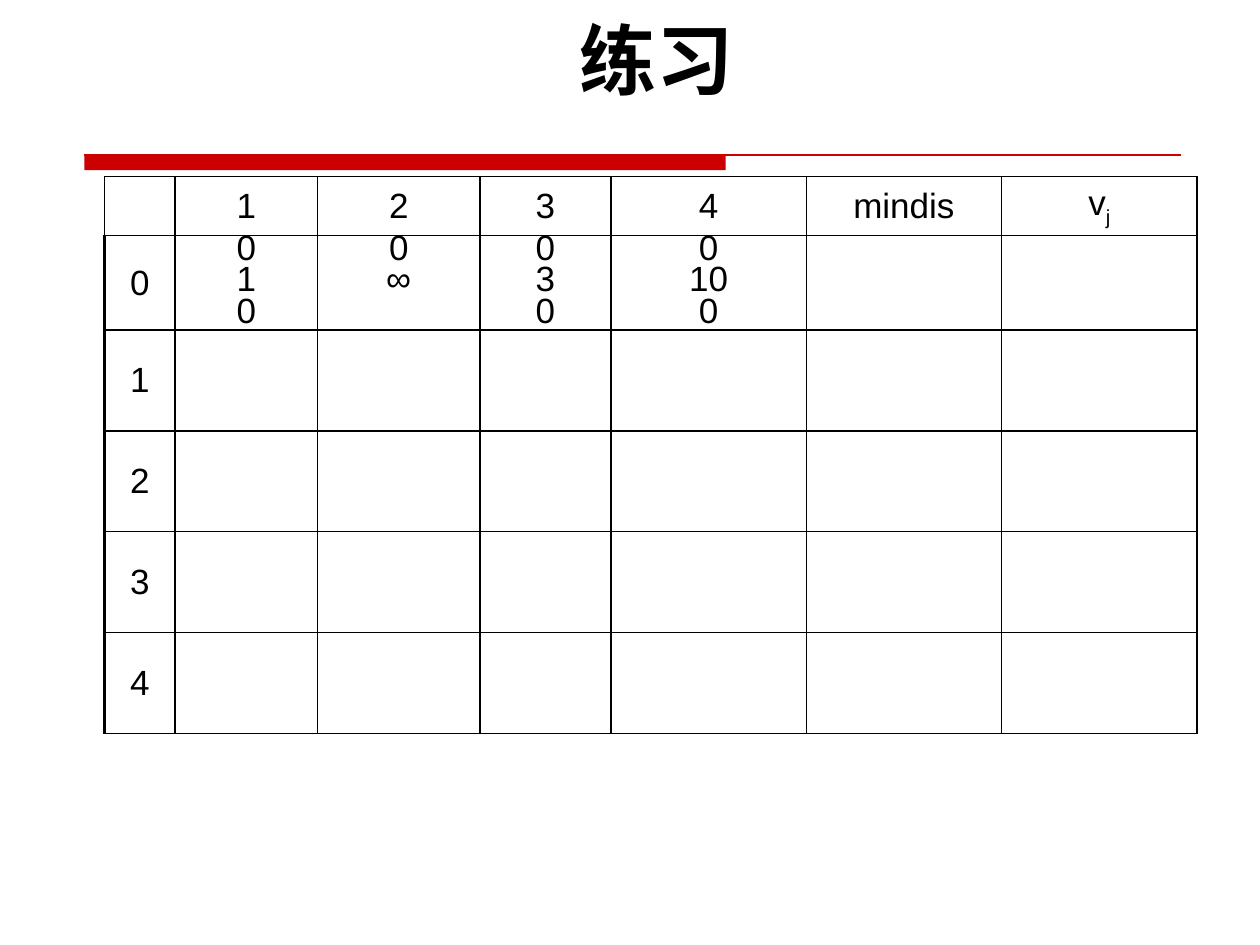
from dataclasses import dataclass
from lxml.etree import SubElement
from pptx import Presentation
from pptx.dml.color import RGBColor
from pptx.enum.shapes import MSO_CONNECTOR, MSO_SHAPE
from pptx.enum.text import MSO_ANCHOR, PP_ALIGN
from pptx.oxml.ns import qn
from pptx.util import Inches, Pt

TITLE = "练习"
HEADER = ["", "1", "2", "3", "4", "mindis", "v"]
SUBSCRIPT = "j"
FIRST_STEP = ["0\n1\n0", "0\n∞", "0\n3\n0", "0\n10\n0"]
STEPS = ["0", "1", "2", "3", "4"]
COL_WIDTHS = [0.56, 1.13, 1.29, 1.04, 1.55, 1.55, 1.55]
ROW_HEIGHTS = [0.47, 0.75] + [0.8] * 4


@dataclass(frozen=True)
class Theme:
    ink: RGBColor = RGBColor(0, 0, 0)
    accent: RGBColor = RGBColor(0xCC, 0, 0)
    title_font: str = "Lato"
    body_font: str = "Arial"
    title_size: int = 44
    body_size: int = 20
    border: float = 1
    heavy_border: float = 2.25


THEME = Theme()


def write(tf, text, size=THEME.body_size, font=THEME.body_font, bold=False,
          spacing=None, subscript=""):
    for i, line in enumerate(text.split("\n")):
        p = tf.paragraphs[0] if i == 0 else tf.add_paragraph()
        p.alignment = PP_ALIGN.CENTER
        if spacing:
            p.line_spacing = spacing
        for part in filter(None, (line, subscript)):
            r = p.add_run()
            r.text = part
            r.font.size = Pt(size)
            r.font.name = font
            r.font.bold = bold
            r.font.color.rgb = THEME.ink
        if subscript:
            r.font._element.set("baseline", "-25000")


def set_borders(cell, left):
    tc_pr = cell._tc.get_or_add_tcPr()
    for side in "LRTB":
        width = left if side == "L" else THEME.border
        ln = SubElement(tc_pr, qn(f"a:ln{side}"), w=str(Pt(width)))
        fill = SubElement(ln, qn("a:solidFill"))
        SubElement(fill, qn("a:srgbClr"), val=str(THEME.ink))


prs = Presentation()
prs.slide_width, prs.slide_height = Inches(10), Inches(7.5)
s = prs.slides.add_slide(prs.slide_layouts[5])

rule = s.shapes.add_connector(MSO_CONNECTOR.STRAIGHT, Inches(0.67), Inches(1.23),
                              Inches(9.37), Inches(1.23))
rule.line.color.rgb = THEME.accent
rule.line.width = Pt(0.75)
SubElement(rule._element.spPr, qn("a:effectLst"))

bar = s.shapes.add_shape(MSO_SHAPE.RECTANGLE, Inches(0.67), Inches(1.23),
                         Inches(5.09), Inches(0.12))
bar.shadow.inherit = False
bar.fill.solid()
bar.fill.fore_color.rgb = THEME.accent
bar.line.fill.background()

title = s.shapes.title
title.left, title.top = Inches(0.67), Inches(0.13)
title.width, title.height = Inches(9.08), Inches(0.83)
title.text_frame.vertical_anchor = MSO_ANCHOR.TOP
write(title.text_frame, TITLE, size=THEME.title_size, font=THEME.title_font,
      bold=True, spacing=0.9)

rows = [HEADER] + [[step] + [""] * (len(HEADER) - 1) for step in STEPS]
rows[1][1:1 + len(FIRST_STEP)] = FIRST_STEP

table = s.shapes.add_table(len(rows), len(HEADER), Inches(0.83), Inches(1.4),
                           Inches(sum(COL_WIDTHS)), Inches(sum(ROW_HEIGHTS))).table
table.first_row = table.horz_banding = False
for col, width in zip(table.columns, COL_WIDTHS):
    col.width = Inches(width)
for row, height in zip(table.rows, ROW_HEIGHTS):
    row.height = Inches(height)

for i, row in enumerate(rows):
    for j, text in enumerate(row):
        cell = table.cell(i, j)
        stacked = "\n" in text
        cell.margin_left = cell.margin_right = cell.margin_top = cell.margin_bottom = 0
        cell.vertical_anchor = MSO_ANCHOR.TOP if stacked else MSO_ANCHOR.MIDDLE
        set_borders(cell, THEME.heavy_border if i and j == 0 else THEME.border)
        cell.fill.background()
        if text:
            write(cell.text_frame, text, spacing=0.8 if stacked else None,
                  subscript=SUBSCRIPT if text == "v" else "")

prs.save("out.pptx")
